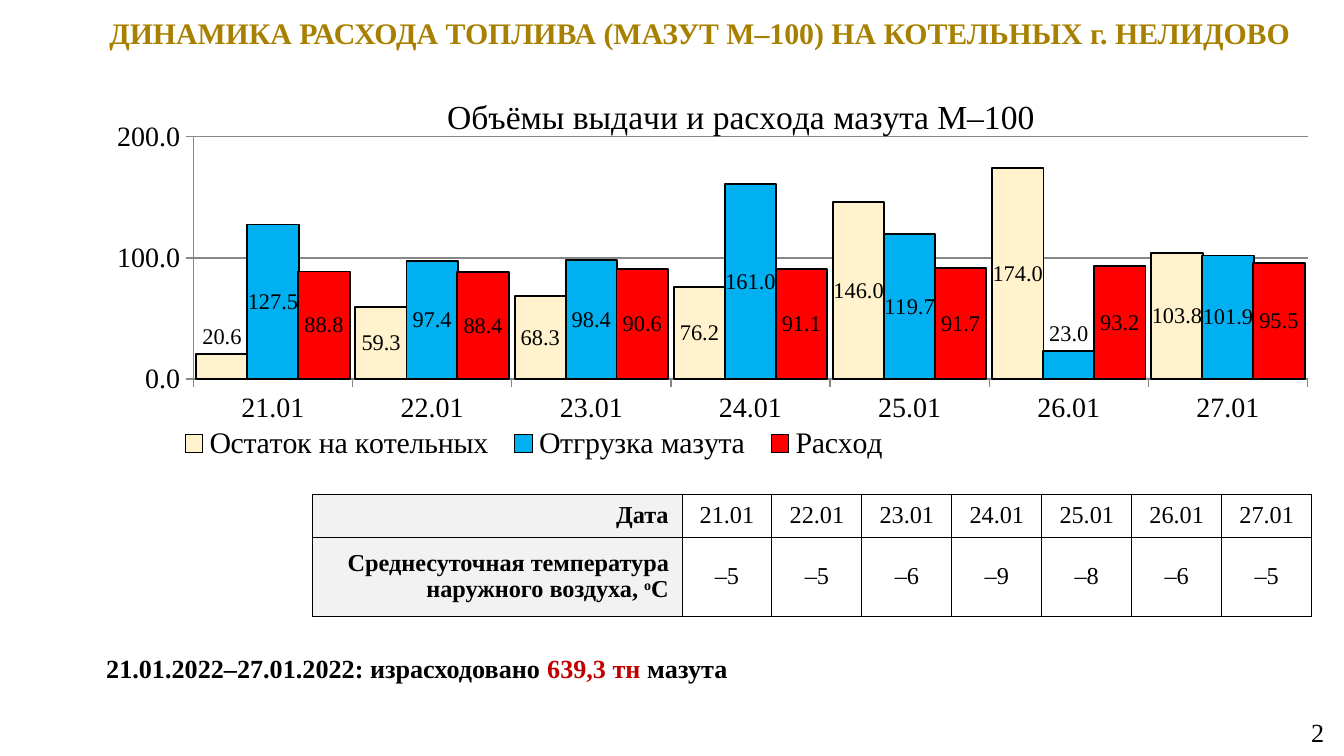
from dataclasses import dataclass

from lxml import etree
from pptx import Presentation
from pptx.chart.data import CategoryChartData
from pptx.dml.color import RGBColor
from pptx.enum.chart import XL_CHART_TYPE, XL_LABEL_POSITION, XL_LEGEND_POSITION, XL_TICK_MARK
from pptx.enum.text import MSO_ANCHOR, PP_ALIGN
from pptx.oxml import parse_xml
from pptx.oxml.ns import nsdecls, qn
from pptx.util import Emu, Pt

LEFT, CENTER, RIGHT = PP_ALIGN.LEFT, PP_ALIGN.CENTER, PP_ALIGN.RIGHT
TOP, MIDDLE = MSO_ANCHOR.TOP, MSO_ANCHOR.MIDDLE
COLUMNS = XL_CHART_TYPE.COLUMN_CLUSTERED
LABEL_CENTER, LABEL_ABOVE = XL_LABEL_POSITION.CENTER, XL_LABEL_POSITION.OUTSIDE_END
LEGEND_BOTTOM = XL_LEGEND_POSITION.BOTTOM
TICK_OUT = XL_TICK_MARK.OUTSIDE

SLIDE_WIDTH, SLIDE_HEIGHT = 1344, 756
EMU_PER_PX = 9144000 / SLIDE_WIDTH


@dataclass(frozen=True)
class Theme:
    font: str = "Times New Roman"
    text: str = "000000"
    heading: str = "A88000"
    accent: str = "C00000"
    grid: str = "878787"
    header_fill: str = "F2F2F2"
    stock: str = "FFF2CC"
    shipped: str = "00B0F0"
    used: str = "FF0000"
    heading_size: int = 16
    body_size: int = 14
    table_size: int = 13
    chart_title_size: int = 18
    axis_size: int = 15
    legend_size: int = 16
    label_size: int = 12


def px(length):
    return Emu(round(length * EMU_PER_PX))


def set_all(target, values):
    for name, value in values.items():
        setattr(target, name, value)


class SlideBuilder:
    def __init__(self, slide, theme):
        self.slide = slide
        self.theme = theme

    def style_font(self, font, size, color=None, bold=False):
        set_all(font, {"name": self.theme.font, "size": Pt(size), "bold": bold})
        font.color.rgb = RGBColor.from_string(color or self.theme.text)

    def add_runs(self, paragraph, runs, size, align, bold=False):
        """Each run is (text, color, superscript)."""
        paragraph.alignment = align
        for text, color, superscript in runs:
            run = paragraph.add_run()
            run.text = text
            self.style_font(run.font, size, color, bold)
            if superscript:
                run._r.get_or_add_rPr().set("baseline", "30000")

    def text_box(self, box, runs, size, align=LEFT, anchor=MIDDLE, bold=False):
        shape = self.slide.shapes.add_textbox(*map(px, box))
        set_all(shape.text_frame, {"word_wrap": True, "vertical_anchor": anchor})
        self.add_runs(shape.text_frame.paragraphs[0], runs, size, align, bold)

    def place(self, element, x, y, width=None, height=None, inner=False):
        """Give a chart part a manual layout in fractions of the chart."""
        for old in element.findall(qn("c:layout")):
            element.remove(old)
        parts = [("layoutTarget", "inner")] if inner else []
        parts += [("xMode", "edge"), ("yMode", "edge"), ("x", x), ("y", y)]
        if width:
            parts += [("w", width), ("h", height)]
        layout = parse_xml(f"<c:layout {nsdecls('c')}><c:manualLayout/></c:layout>")
        for tag, value in parts:
            etree.SubElement(layout[0], qn(f"c:{tag}")).set("val", str(value))
        before = [child for child in element
                  if child.tag in (qn("c:tx"), qn("c:legendPos"))]
        element.insert(len(before), layout)

    def column_chart(self, box, title, categories, series_specs):
        theme = self.theme
        data = CategoryChartData(number_format="0.0")
        data.categories = categories
        for name, values, _, _ in series_specs:
            data.add_series(name, values)
        chart = self.slide.shapes.add_chart(COLUMNS, *map(px, box), data).chart
        self.style_font(chart.font, theme.legend_size)

        # Title and legend
        chart.has_title = True
        self.add_runs(chart.chart_title.text_frame.paragraphs[0], [(title, None, False)],
                      theme.chart_title_size, CENTER)
        self.place(chart.chart_title._element, 0.29, 0.02)
        chart.has_legend = True
        set_all(chart.legend, {"position": LEGEND_BOTTOM, "include_in_layout": False})
        self.style_font(chart.legend.font, theme.legend_size)
        self.place(chart.legend._element, 0.07, 0.87, 0.59, 0.11)

        # Axes
        value_axis, category_axis = chart.value_axis, chart.category_axis
        set_all(value_axis, {"minimum_scale": 0, "maximum_scale": 200, "major_unit": 100,
                             "has_major_gridlines": True})
        set_all(value_axis.tick_labels, {"number_format": "0.0",
                                         "number_format_is_linked": False})
        for axis in (value_axis, category_axis):
            axis.major_tick_mark = TICK_OUT
            self.style_font(axis.tick_labels.font, theme.axis_size)
        for part in (value_axis, category_axis, value_axis.major_gridlines):
            part.format.line.color.rgb = RGBColor.from_string(theme.grid)
            part.format.line.width = Pt(0.75)

        # Columns and their labels
        plot = chart.plots[0]
        set_all(plot, {"gap_width": 11, "overlap": 1, "vary_by_categories": False})
        self.place(chart._chartSpace.chart.plotArea, 0.09, 0.14, 0.9, 0.62, inner=True)
        for series, (_, _, color, raised) in zip(plot.series, series_specs):
            series.format.fill.solid()
            series.format.fill.fore_color.rgb = RGBColor.from_string(color)
            series.format.line.color.rgb = RGBColor.from_string(theme.text)
            series.format.line.width = Pt(1)
            labels = series.data_labels
            set_all(labels, {"show_value": True, "position": LABEL_CENTER,
                             "number_format": "0.0", "number_format_is_linked": False})
            self.style_font(labels.font, theme.label_size)
            for index in raised:
                label = series.points[index].data_label
                self.style_font(label.font, theme.label_size)
                label.position = LABEL_ABOVE

    def border(self, cell):
        properties = cell._tc.get_or_add_tcPr()
        for index, side in enumerate(("lnL", "lnR", "lnT", "lnB")):
            properties.insert(index, parse_xml(
                f'<a:{side} {nsdecls("a")} w="6350"><a:solidFill>'
                f'<a:srgbClr val="{self.theme.text}"/></a:solidFill></a:{side}>'))

    def table(self, corner, widths, heights, rows):
        """Each row is a list of cells, each cell a list of paragraphs of runs."""
        box = (*corner, sum(widths), sum(heights))
        table = self.slide.shapes.add_table(len(rows), len(widths), *map(px, box)).table
        set_all(table, {"first_row": False, "horz_banding": False})
        for column, width in zip(table.columns, widths):
            column.width = px(width)
        for row_index, (row, height) in enumerate(zip(rows, heights)):
            table.rows[row_index].height = px(height)
            for column_index, paragraphs in enumerate(row):
                cell = table.cell(row_index, column_index)
                is_header = column_index == 0
                cell.vertical_anchor = MIDDLE
                if is_header:
                    cell.fill.solid()
                    cell.fill.fore_color.rgb = RGBColor.from_string(self.theme.header_fill)
                else:
                    cell.fill.background()
                self.border(cell)
                for index, runs in enumerate(paragraphs):
                    paragraph = (cell.text_frame.add_paragraph() if index
                                 else cell.text_frame.paragraphs[0])
                    self.add_runs(paragraph, runs, self.theme.table_size,
                                  RIGHT if is_header else CENTER, is_header)


def main():
    presentation = Presentation()
    presentation.slide_width, presentation.slide_height = px(SLIDE_WIDTH), px(SLIDE_HEIGHT)
    theme = Theme()
    builder = SlideBuilder(presentation.slides.add_slide(presentation.slide_layouts[6]), theme)
    dates = [f"{day}.01" for day in range(21, 28)]

    # Fuel total for the week
    builder.text_box((93, 645, 688, 46), [
        ("21.01.2022–27.01.2022: израсходовано ", None, False),
        ("639,3 тн", theme.accent, False),
        (" мазута", None, False)], theme.body_size, bold=True)

    # Fuel chart
    builder.column_chart((82, 82, 1238, 391), "Объёмы выдачи и расхода мазута М–100", dates, [
        ("Остаток на котельных", (20.6, 59.3, 68.3, 76.2, 146, 174, 103.8), theme.stock, [0]),
        ("Отгрузка мазута", (127.5, 97.4, 98.4, 161, 119.7, 23, 101.9), theme.shipped, [5]),
        ("Расход", (88.8, 88.4, 90.6, 91.1, 91.7, 93.2, 95.5), theme.used, [])])

    # Temperature table
    temperatures = ["–5", "–5", "–6", "–9", "–8", "–6", "–5"]
    headers = [
        [[("Дата", None, False)]],
        [[("Среднесуточная температура", None, False)],
         [("наружного воздуха, ", None, False), ("о", None, True), ("С", None, False)]]]
    rows = [[header] + [[[(text, None, False)]] for text in texts]
            for header, texts in zip(headers, (dates, temperatures))]
    builder.table((312, 494), [370] + [90] * len(dates), [43, 79], rows)

    # Slide number and heading
    builder.text_box((1298, 712, 38, 40), [("2", None, False)], theme.body_size, RIGHT)
    builder.text_box((94, 8, 1212, 52), [
        ("ДИНАМИКА РАСХОДА ТОПЛИВА (МАЗУТ М–100) НА КОТЕЛЬНЫХ г. НЕЛИДОВО",
         theme.heading, False)], theme.heading_size, CENTER, TOP, bold=True)
    presentation.save("out.pptx")


if __name__ == "__main__":
    main()
